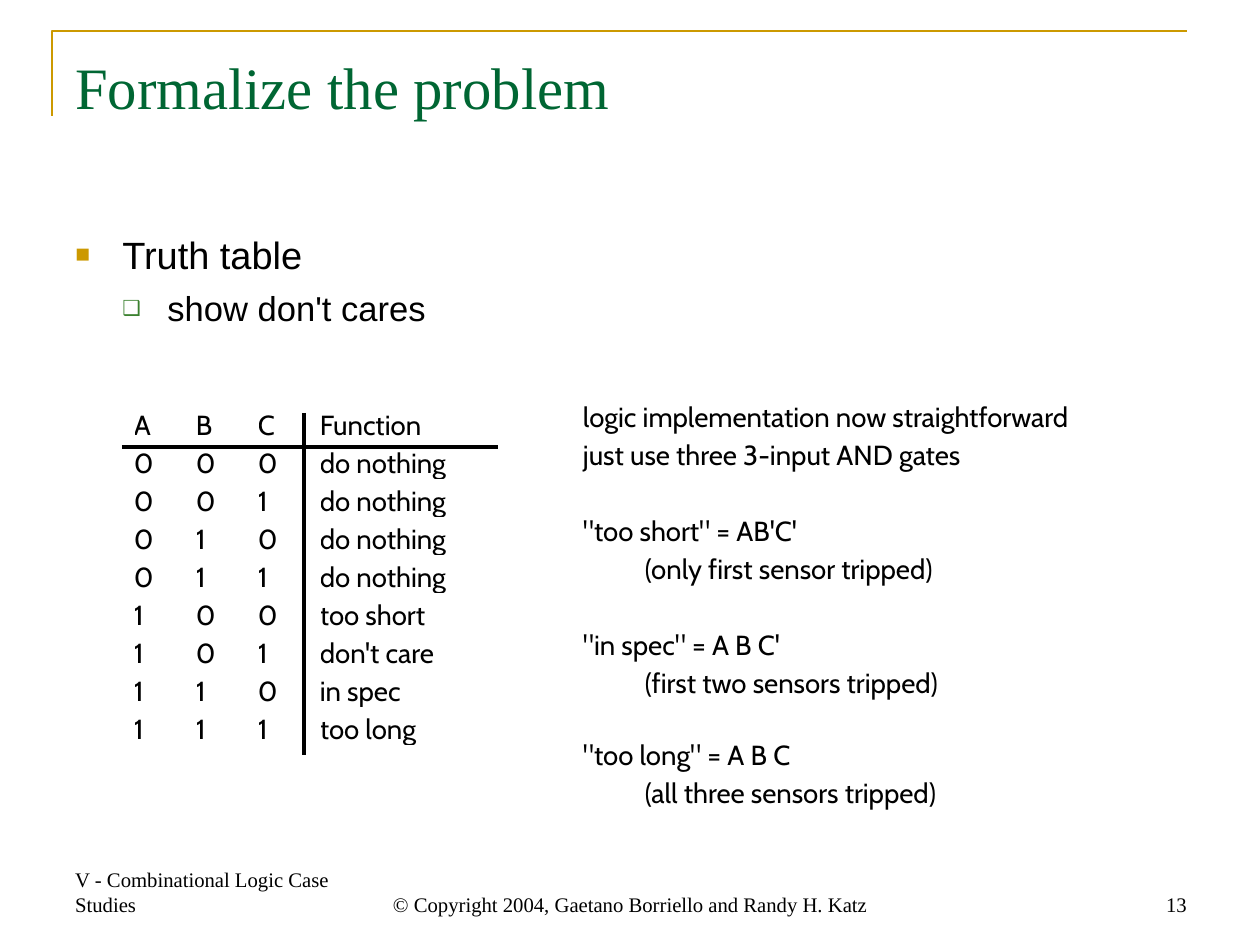
from lxml import etree
from pptx import Presentation
from pptx.dml.color import RGBColor
from pptx.enum.shapes import MSO_CONNECTOR
from pptx.enum.text import MSO_ANCHOR, MSO_AUTO_SIZE, PP_ALIGN
from pptx.oxml.ns import qn
from pptx.util import Pt

EMU_PER_PX = 7356
GOLD = RGBColor(0xCC, 0x99, 0x00)
GREEN = RGBColor(0x00, 0x66, 0x33)
LEAF = RGBColor(0x3B, 0x81, 0x2F)
BLACK = RGBColor(0x00, 0x00, 0x00)
SERIF, SANS, HAND = "Times New Roman", "Arial", "Cabin"
TOP, BOTTOM = MSO_ANCHOR.TOP, MSO_ANCHOR.BOTTOM
LEFT, CENTER, RIGHT = PP_ALIGN.LEFT, PP_ALIGN.CENTER, PP_ALIGN.RIGHT
STRAIGHT = MSO_CONNECTOR.STRAIGHT
NO_AUTOFIT = MSO_AUTO_SIZE.NONE

COLUMN_WIDTHS = [62, 62, 62, 178]
ROW_HEIGHT = 38
LINE_PITCH = 22
NOTE_INDENT = 62
FUNCTIONS = ["do nothing", "do nothing", "do nothing", "do nothing",
             "too short", "don't care", "in spec", "too long"]
LOGIC_LINES = [
    ("logic implementation now straightforward", 0, 0),
    ("just use three 3-input AND gates", 0, 0),
    ("\"too short\" = AB'C'", 0, 22),
    ("(only first sensor tripped)", NOTE_INDENT, 0),
    ("\"in spec\" = A B C'", 0, 22),
    ("(first two sensors tripped)", NOTE_INDENT, 0),
    ("\"too long\" = A B C", 0, 20),
    ("(all three sensors tripped)", NOTE_INDENT, 0),
]
FOOTERS = [
    ("V - Combinational Logic Case Studies", 63, 295, LEFT),
    ("© Copyright 2004, Gaetano Borriello and Randy H. Katz", 368, 525, CENTER),
    ("13", 904, 295, RIGHT),
]


def px(length):
    return length * EMU_PER_PX


def add_run(paragraph, text, font_name, size, color=BLACK):
    run = paragraph.add_run()
    run.text = text
    run.font.name = font_name
    run.font.size = Pt(size)
    run.font.color.rgb = color


def place(shape, left, top, width, height):
    shape.left, shape.top = px(left), px(top)
    shape.width, shape.height = px(width), px(height)
    shape.text_frame.auto_size = NO_AUTOFIT
    shape.text_frame.vertical_anchor = TOP


def set_indent(paragraph, margin, hanging=0):
    properties = paragraph._p.get_or_add_pPr()
    properties.set("marL", str(px(margin)))
    properties.set("indent", str(px(-hanging)))
    return properties


def set_bullet(paragraph, character, color, percent, margin, hanging):
    properties = set_indent(paragraph, margin, hanging)
    bullet_color = etree.SubElement(properties, qn("a:buClr"))
    etree.SubElement(bullet_color, qn("a:srgbClr"), val=str(color))
    etree.SubElement(properties, qn("a:buSzPct"), val=str(percent * 1000))
    etree.SubElement(properties, qn("a:buFont"), typeface=SANS)
    etree.SubElement(properties, qn("a:buChar"), char=character)


def add_corner_rule(slide):
    builder = slide.shapes.build_freeform(52, 116, scale=EMU_PER_PX)
    builder.add_line_segments([(52, 31), (1187, 31)], close=False)
    shape = builder.convert_to_shape()
    shape.shadow.inherit = False
    shape.fill.background()
    shape.line.color.rgb = GOLD
    shape.line.width = Pt(1.5)


def add_title(slide):
    title = slide.shapes.title
    place(title, 63, 45, 1134, 150)
    paragraph = title.text_frame.paragraphs[0]
    paragraph.alignment = LEFT
    add_run(paragraph, "Formalize the problem", SERIF, 34, GREEN)


def add_body(slide):
    body = slide.placeholders[1]
    place(body, 63, 225, 1134, 619)
    topic = body.text_frame.paragraphs[0]
    set_bullet(topic, "■", GOLD, 65, 47, 47)
    topic.space_before = Pt(0)
    add_run(topic, "Truth table", SANS, 22)
    detail = body.text_frame.add_paragraph()
    detail.level = 1
    set_bullet(detail, "❑", LEAF, 60, 92, 45)
    detail.space_before = Pt(6)
    add_run(detail, "show don't cares", SANS, 20)


def add_rule(slide, start, end):
    ends = [px(value) for value in (*start, *end)]
    rule = slide.shapes.add_connector(STRAIGHT, *ends)
    rule.line.color.rgb = BLACK
    rule.line.width = Pt(2)
    etree.SubElement(rule._element.spPr, qn("a:effectLst"))


def add_truth_table(slide):
    rows = [["A", "B", "C", "Function"]]
    rows += [[*f"{number:03b}", function] for number, function in enumerate(FUNCTIONS)]
    frame = slide.shapes.add_table(
        len(rows), len(COLUMN_WIDTHS), px(134), px(404),
        px(sum(COLUMN_WIDTHS)), px(ROW_HEIGHT * len(rows)))
    table = frame.table
    table.first_row = table.horz_banding = False
    for column, width in zip(table.columns, COLUMN_WIDTHS):
        column.width = px(width)
    for row_index, values in enumerate(rows):
        table.rows[row_index].height = px(ROW_HEIGHT)
        for column_index, value in enumerate(values):
            cell = table.cell(row_index, column_index)
            cell.fill.background()
            cell.margin_left = cell.margin_right = 0
            cell.margin_top = cell.margin_bottom = 0
            paragraph = cell.text_frame.paragraphs[0]
            paragraph.line_spacing = Pt(LINE_PITCH)
            add_run(paragraph, value, HAND, 16)
    add_rule(slide, (122, 447), (498, 447))
    add_rule(slide, (304, 413), (304, 755))


def add_text_box(slide, left, top, width, height):
    box = slide.shapes.add_textbox(px(left), px(top), px(width), px(height))
    box.text_frame.word_wrap = True
    return box.text_frame


def add_logic_notes(slide):
    frame = add_text_box(slide, 583, 395, 614, 420)
    frame.margin_left = frame.margin_right = 0
    frame.margin_top = frame.margin_bottom = 0
    for index, (text, indent, gap) in enumerate(LOGIC_LINES):
        paragraph = frame.add_paragraph() if index else frame.paragraphs[0]
        set_indent(paragraph, indent)
        paragraph.line_spacing = Pt(LINE_PITCH)
        paragraph.space_before = Pt(gap)
        add_run(paragraph, text, HAND, 16)


def add_footer(slide, text, left, width, alignment):
    frame = add_text_box(slide, left, 860, width, 63)
    frame.vertical_anchor = BOTTOM
    paragraph = frame.paragraphs[0]
    paragraph.alignment = alignment
    add_run(paragraph, text, SERIF, 12)


def main():
    presentation = Presentation()
    presentation.slide_width, presentation.slide_height = px(1260), px(945)
    slide = presentation.slides.add_slide(presentation.slide_layouts[1])
    add_corner_rule(slide)
    add_title(slide)
    add_body(slide)
    add_truth_table(slide)
    add_logic_notes(slide)
    for footer in FOOTERS:
        add_footer(slide, *footer)
    presentation.save("out.pptx")


if __name__ == "__main__":
    main()
